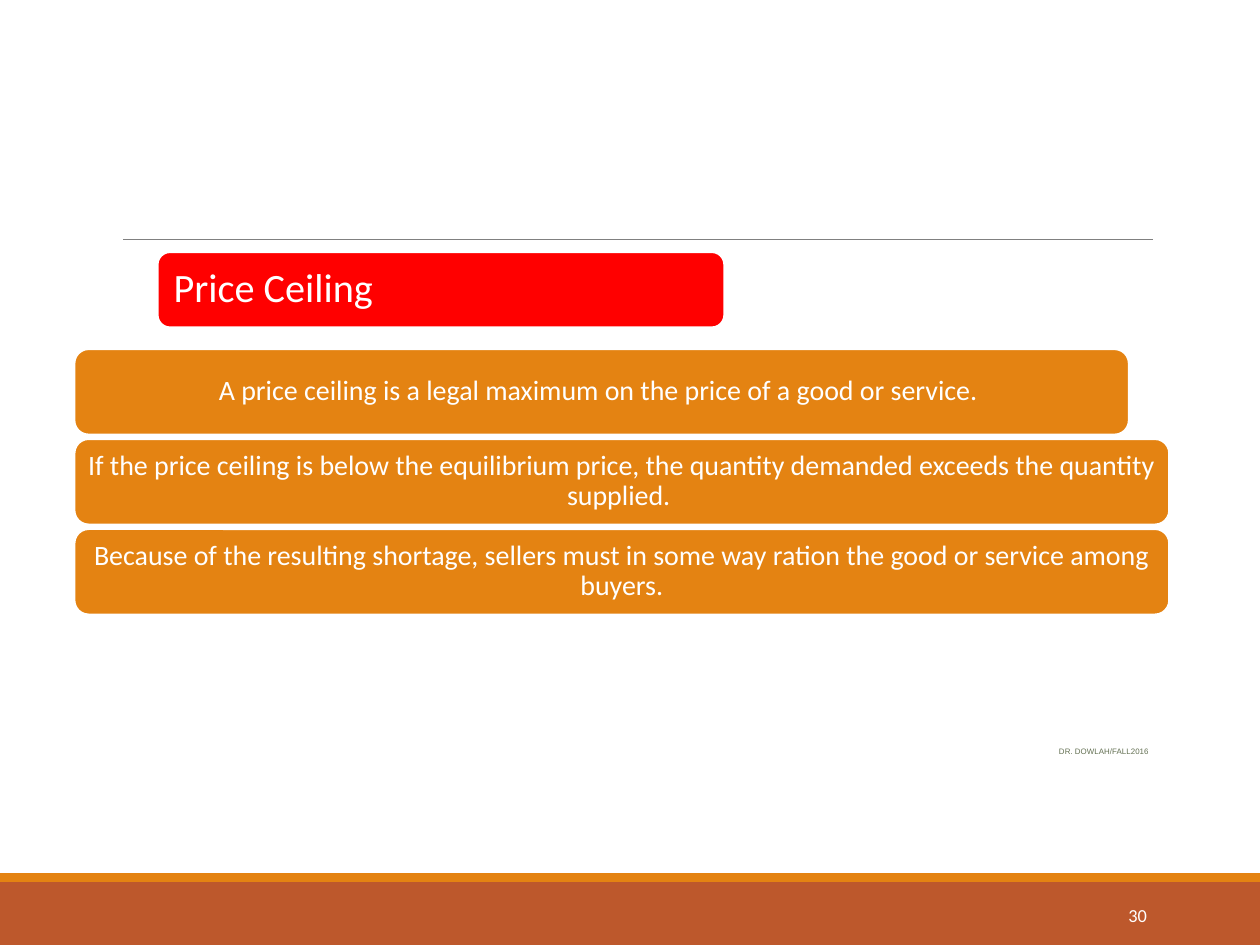
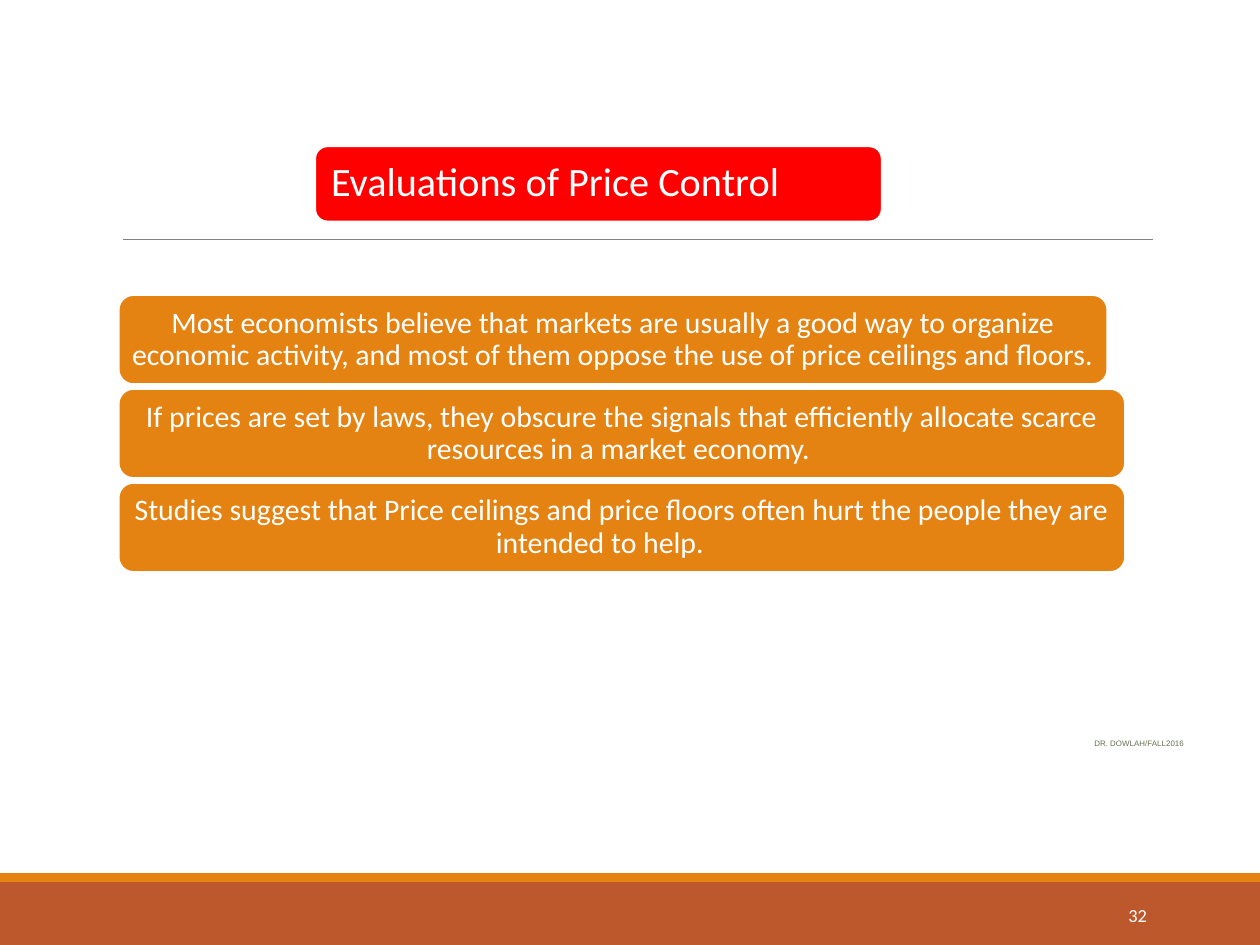
from pptx import Presentation
from pptx.dml.color import RGBColor
from pptx.enum.shapes import MSO_CONNECTOR as CONN, MSO_SHAPE as SHAPE
from pptx.enum.text import MSO_ANCHOR as ANCHOR, PP_ALIGN as ALIGN
from pptx.oxml.ns import qn
from pptx.util import Inches, Pt
from lxml import etree

# Content: boxes are left, top, width, height in inches
SLIDES = [
    {
        "title": "Price Ceiling",
        "title_at": (1.25, 2),
        "points": [
            "A price ceiling is a legal maximum on the price of a good or service. ",
            "If the price ceiling is below the equilibrium price, the quantity "
            "demanded exceeds the quantity supplied. ",
            "Because of the resulting shortage, sellers must in some way ration "
            "the good or service among buyers.",
        ],
        "list_at": (0.59, 2.77), "widths": (8.37, 8.69, 8.69),
        "row_height": 0.68, "size": 16, "inset": 0.03,
        "credit_at": (7.75, 5.81, 2.02, 0.3), "number": "30",
    },
    {
        "title": "Evaluations of Price Control",
        "title_at": (2.5, 1.16),
        "points": [
            "Most economists believe that markets are usually a good way to "
            "organize economic activity, and most of them oppose the use of "
            "price ceilings and floors. ",
            "If prices are set by laws, they obscure the signals that efficiently "
            "allocate scarce resources in a market economy. ",
            "Studies suggest that Price ceilings and price floors often hurt the "
            "people they are intended to help. \t",
        ],
        "list_at": (0.94, 2.34), "widths": (7.85, 7.99, 7.99),
        "row_height": 0.71, "size": 17, "inset": 0.04,
        "credit_at": (8.25, 5.75, 1.58, 0.3), "number": "32",
    },
]
CREDIT = "DR. DOWLAH/FALL2016"

# Shared look
WIDTH, HEIGHT = 10, 7.5
RED, ORANGE, RUST = "FF0000", "E48312", "BD582C"
WHITE, GREY, OLIVE = "FFFFFF", "808080", "637052"
TITLE_SIZE = (4.5, 0.6)
BANDS = [(7, 0.5, RUST), (6.93, 0.07, ORANGE)]
RULE = (0.98, 9.15, 1.9)
NUMBER_AT = (8.12, 7.06, 1.08, 0.4)
GAP_SHARE = 0.05  # gap between points, as a share of the row height


def rgb(value):
    return RGBColor.from_string(value)


def inches(values):
    return [Inches(v) for v in values]


def write(sp, text, size, align=ALIGN.CENTER, color=WHITE, font="Calibri",
          insets=(0.1, 0.05), spacing=None):
    tf = sp.text_frame
    x, y = inches(insets)
    frame = {"word_wrap": True, "vertical_anchor": ANCHOR.MIDDLE,
             "margin_left": x, "margin_right": x,
             "margin_top": y, "margin_bottom": y}
    for name, value in frame.items():
        setattr(tf, name, value)
    p = tf.paragraphs[0]
    p.alignment, p.line_spacing = align, spacing
    r = p.add_run()
    r.text = text
    for name, value in {"size": Pt(size), "name": font}.items():
        setattr(r.font, name, value)
    r.font.color.rgb = rgb(color)


def add_box(s, kind, at, fill, outline=None):
    sp = s.shapes.add_shape(kind, *inches(at))
    sp.shadow.inherit = False
    sp.fill.solid()
    sp.fill.fore_color.rgb = rgb(fill)
    if outline:
        sp.line.color.rgb = rgb(outline)
        sp.line.width = Pt(1.25)
    else:
        sp.line.fill.background()
    return sp


def add_card(s, at, fill, text, size, **style):
    sp = add_box(s, SHAPE.ROUNDED_RECTANGLE, at, fill, WHITE)
    write(sp, text, size, spacing=0.9, **style)


def add_label(s, at, text, size, **style):
    write(s.shapes.add_textbox(*inches(at)), text, size, **style)


def add_frame(s):
    for top, height, color in BANDS:
        add_box(s, SHAPE.RECTANGLE, (0, top, WIDTH, height), color)
    x1, x2, y = inches(RULE)
    rule = s.shapes.add_connector(CONN.STRAIGHT, x1, y, x2, y)
    rule.line.color.rgb = rgb(GREY)
    rule.line.width = Pt(0.5)
    etree.SubElement(rule._element.spPr, qn("a:effectLst"))


def build_slide(prs, data):
    s = prs.slides.add_slide(prs.slide_layouts[6])
    add_frame(s)
    add_card(s, data["title_at"] + TITLE_SIZE, RED, data["title"], 23,
             align=ALIGN.LEFT, insets=(0.1, 0.1))

    # Stacked points
    left, top = data["list_at"]
    height = data["row_height"]
    for row, (text, width) in enumerate(zip(data["points"], data["widths"])):
        y = top + row * height * (1 + GAP_SHARE)
        add_card(s, (left, y, width, height), ORANGE, text, data["size"],
                 insets=(0.07, data["inset"]))

    # Credit and slide number
    add_label(s, data["credit_at"], CREDIT, 4.5, color=OLIVE, font="Arial")
    add_label(s, NUMBER_AT, data["number"], 10.5, align=ALIGN.RIGHT)


def main():
    prs = Presentation()
    prs.slide_width, prs.slide_height = inches((WIDTH, HEIGHT))
    for data in SLIDES:
        build_slide(prs, data)
    prs.save("out.pptx")


if __name__ == "__main__":
    main()
